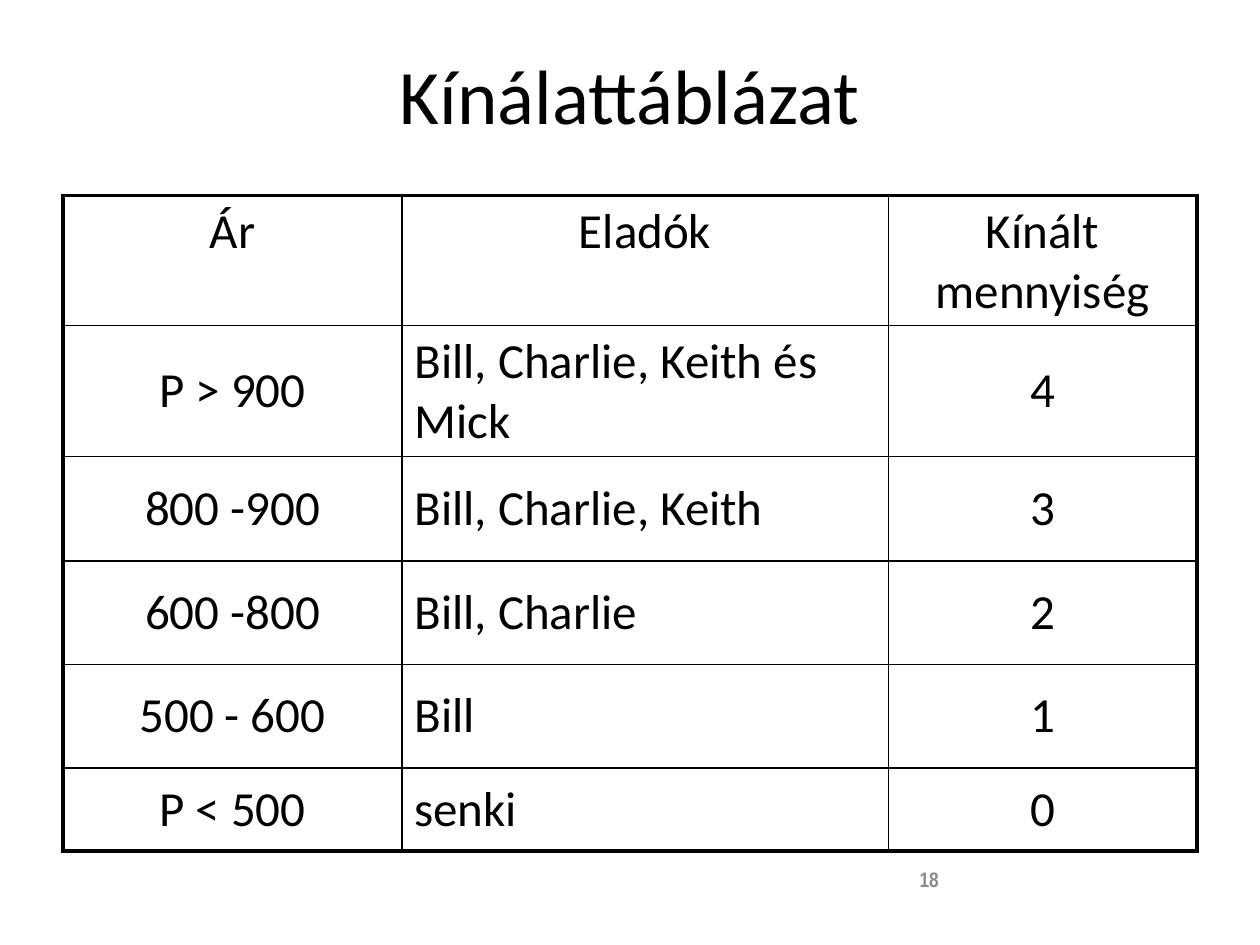
from pptx import Presentation
from pptx.dml.color import RGBColor as Rgb
from pptx.enum.text import MSO_ANCHOR as Anchor, PP_ALIGN as Align
from pptx.oxml.ns import qn
from pptx.util import Inches, Pt
from lxml.etree import SubElement as Sub

COLORS = {"ink": "000000", "gray": "898989"}
FORMATS = {
    "title": {"size": Pt(44), "name": "Calibri", "bold": False, "color": "ink"},
    "cell": {"size": Pt(28), "name": "Calibri", "bold": False, "color": "ink"},
    "page": {"size": Pt(12), "name": "Arial Narrow", "bold": True, "color": "gray"},
}
THIN, THICK = 1, 2.25
HEAD = ["Ár", "Eladók", "Kínált mennyiség"]
OFFERS = [
    ["P > 900", "Bill, Charlie, Keith és Mick", "4"],
    ["800 -900", "Bill, Charlie, Keith", "3"],
    ["600 -800", "Bill, Charlie", "2"],
    ["500 - 600", "Bill", "1"],
    ["P < 500", "senki", "0"],
]
WIDTHS = [2.69, 3.86, 2.45]
HEIGHTS = [1.03, 1.04, 0.83, 0.82, 0.82, 0.66]


class Deck:
    def __init__(self, wide, high):
        self.file = Presentation()
        self.file.slide_width, self.file.slide_height = Inches(wide), Inches(high)
        self.slide = self.file.slides.add_slide(self.file.slide_layouts[6])

    def place(self, x, y, w, h):
        """Turn shares of the slide's size into lengths."""
        wide, high = self.file.slide_width, self.file.slide_height
        return int(x * wide), int(y * high), int(w * wide), int(h * high)

    def label(self, frame, text, style, align):
        frame.word_wrap = True
        para = frame.paragraphs[0]
        para.alignment = align
        run = para.add_run()
        run.text = text
        for key, value in FORMATS[style].items():
            if key == "color":
                run.font.color.rgb = Rgb.from_string(COLORS[value])
            else:
                setattr(run.font, key, value)

    def text(self, area, text, style, align=Align.LEFT, top=0.05):
        frame = self.slide.shapes.add_textbox(*self.place(*area)).text_frame
        frame.margin_top = Inches(top)
        self.label(frame, text, style, align)

    def edge(self, cell, sides):
        """Draw cell borders; they must come before the fill in the XML."""
        props = cell._tc.get_or_add_tcPr()
        for side, width in sides.items():
            line = Sub(props, qn(f"a:ln{side}"), w=str(Pt(width)))
            fill = Sub(line, qn("a:solidFill"))
            Sub(fill, qn("a:srgbClr"), val=COLORS["ink"])

    def table(self, area, rows, widths, heights):
        last, end = len(rows) - 1, len(widths) - 1
        grid = self.slide.shapes.add_table(
            len(rows), len(widths), *self.place(*area)).table
        grid.first_row = grid.horz_banding = False
        for col, width in zip(grid.columns, widths):
            col.width = Inches(width)
        for row, height in zip(grid.rows, heights):
            row.height = Inches(height)
        for r, row in enumerate(rows):
            for c, text in enumerate(row):
                cell = grid.cell(r, c)
                outer = {"L": c == 0, "R": c == end, "T": r == 0, "B": r == last}
                self.edge(cell, {side: THICK if out else THIN
                                 for side, out in outer.items()})
                cell.fill.background()
                cell.vertical_anchor = Anchor.MIDDLE if r else Anchor.TOP
                align = Align.LEFT if r and c == 1 else Align.CENTER
                self.label(cell.text_frame, text, "cell", align)


def main():
    deck = Deck(10, 7.5)
    deck.text((0.05, 0.04, 0.9, 0.17), "Kínálattáblázat", "title", Align.CENTER, 0.08)
    deck.table((0.05, 1.55 / 7.5, 0.9, 5.2 / 7.5), [HEAD] + OFFERS, WIDTHS, HEIGHTS)
    deck.text((0.72, 0.91, 0.23, 0.07), "18", "page")
    deck.file.save("out.pptx")


if __name__ == "__main__":
    main()
